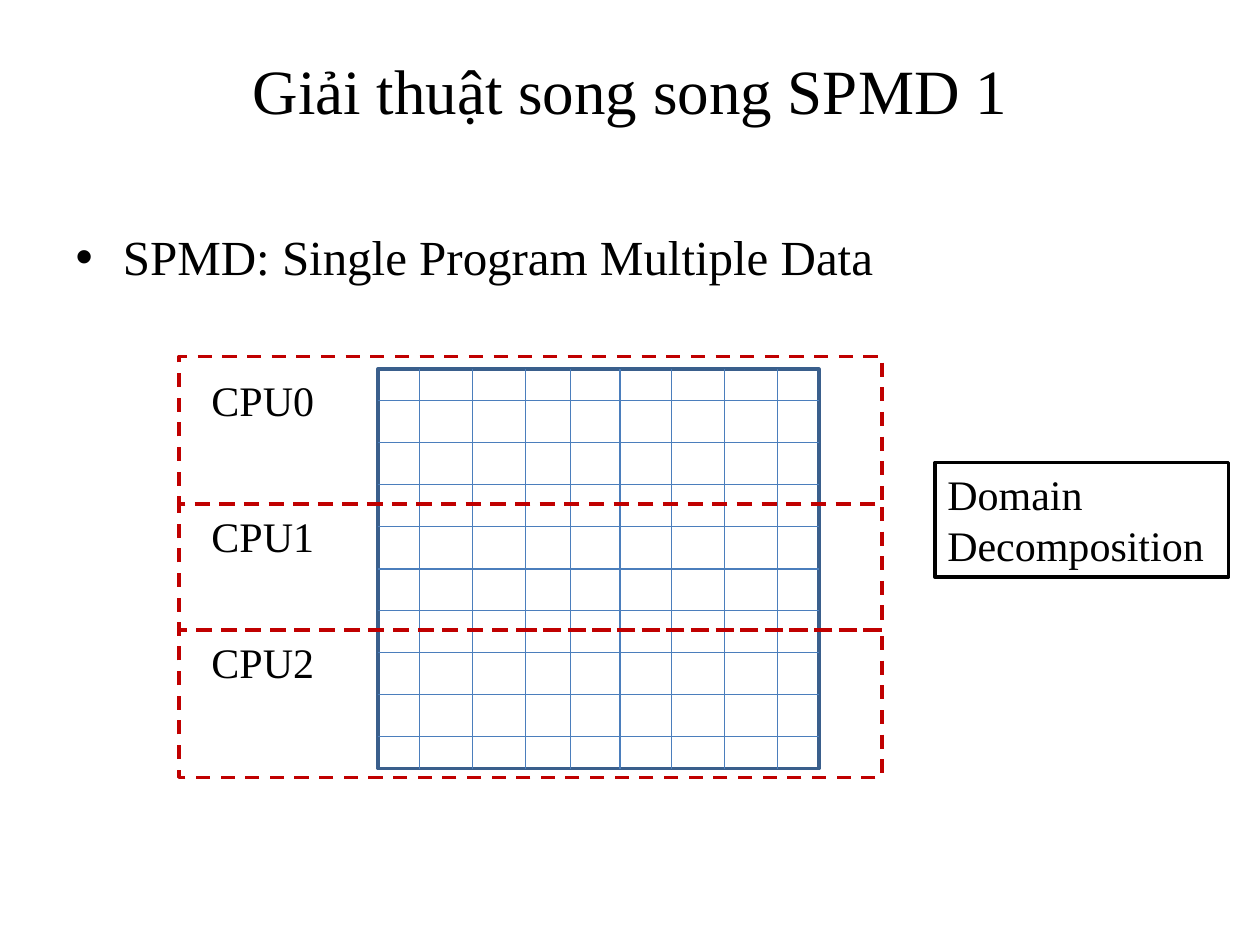
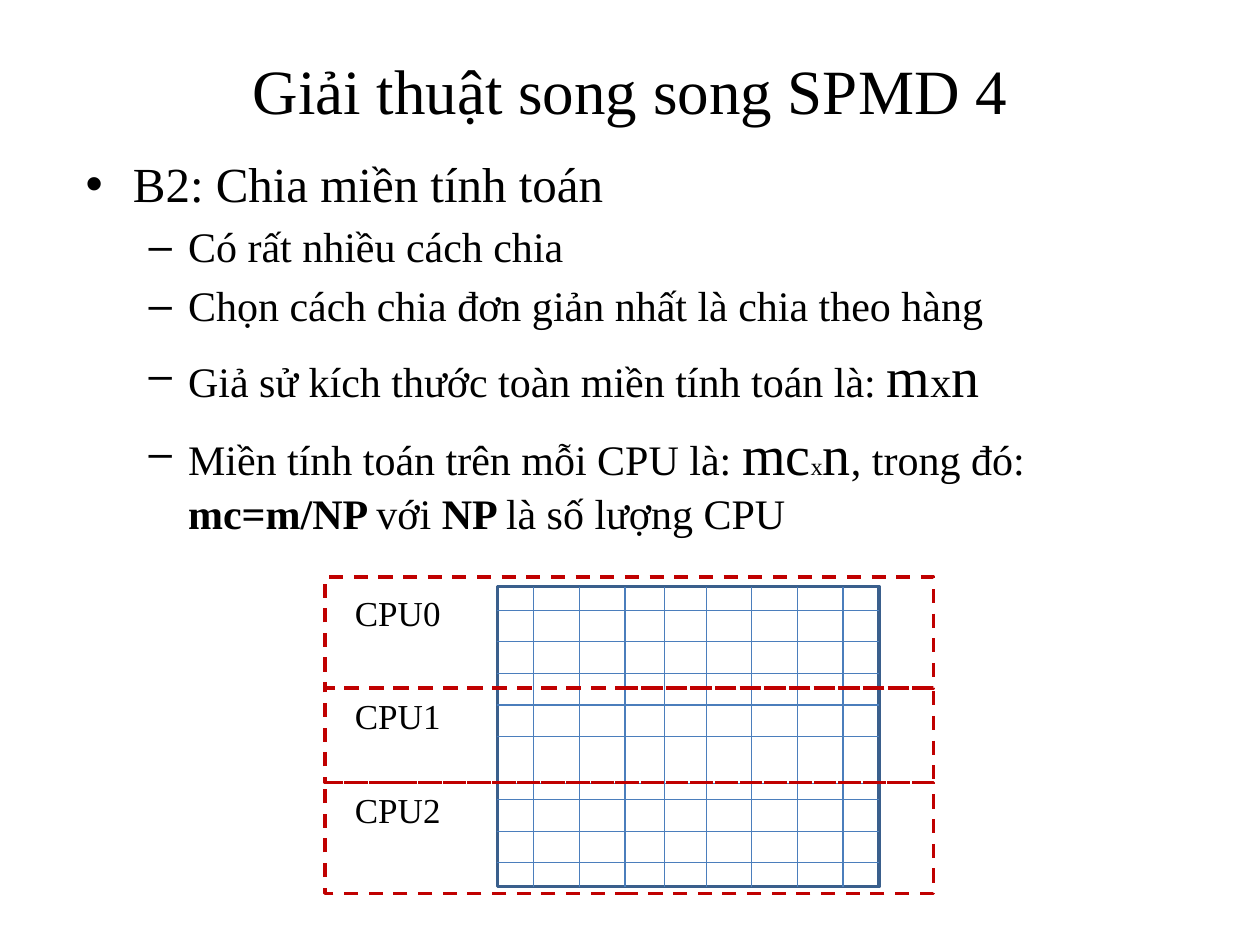
from lxml import etree
from pptx import Presentation
from pptx import util as u
from pptx.dml.color import RGBColor
from pptx.enum import dml, shapes, text
from pptx.oxml import ns

FONT = "Times New Roman"
BLACK = RGBColor(0x00, 0x00, 0x00)
GRID_BORDER = RGBColor(0x3A, 0x5F, 0x8C)
GRID_LINE = RGBColor(0x4B, 0x7E, 0xBC)
BAND_RED = RGBColor(0xC0, 0x00, 0x00)

TITLE_BOX = (0.5, 0.17, 9, 1.08)

# Domain diagram, in the units of its design size
DESIGN_WIDTH, DESIGN_HEIGHT = 5.58, 3.34
GRID_BOX = (1.58, 0.1, 3.5, 3.17)
ROW_COUNT, FIRST_ROW, ROW_GAP = 9, 0.35, 1 / 3
MIDDLE_ROW = ROW_COUNT // 2
COLUMNS = (1.91, 2.33, 2.75, 3.11, 3.5, 3.91, 4.33, 4.75)
BANDS = (("CPU0", 0, 1.17, 0.09), ("CPU1", 1.17, 1, 1.17), ("CPU2", 2.17, 1.17, 2.17))
LABEL_LEFT, LABEL_WIDTH, LABEL_HEIGHT = 0.16, 1.17, 0.5


def inches(values):
    return [u.Inches(value) for value in values]


def place(shape, box):
    for name, value in zip(("left", "top", "width", "height"), inches(box)):
        setattr(shape, name, value)


def set_font(font, size, bold=False):
    for name, value in {"name": FONT, "size": u.Pt(size), "bold": bold}.items():
        setattr(font, name, value)
    font.color.rgb = BLACK


def set_line(line, color, width, dash=None):
    line.color.rgb = color
    for name, value in {"width": u.Pt(width), "dash_style": dash}.items():
        setattr(line, name, value)


def add_frame(parts, box, color, dash=None):
    """Add an unfilled rectangle."""
    frame = parts.add_shape(shapes.MSO_SHAPE.RECTANGLE, *inches(box))
    frame.shadow.inherit = False
    frame.fill.background()
    set_line(frame.line, color, 2, dash)
    return frame


def add_grid_line(parts, start, end):
    line = parts.add_connector(shapes.MSO_CONNECTOR.STRAIGHT, *inches(start + end))
    set_line(line.line, GRID_LINE, 0.75)
    etree.SubElement(line._element.spPr, ns.qn("a:effectLst"))
    return line


def fill_lines(frame, lines, size):
    frame.word_wrap = True
    frame.vertical_anchor = text.MSO_ANCHOR.TOP
    frame.text = "\n".join(lines)
    for para in frame.paragraphs:
        para.alignment = text.PP_ALIGN.LEFT
        set_font(para.font, size)


def add_domain_diagram(page, box, label_size, row_shifts=None):
    """Draw the grid split into one dashed band per CPU, scaled to the box."""
    left, top, width, height = box
    scale_x, scale_y = width / DESIGN_WIDTH, height / DESIGN_HEIGHT
    shifts = row_shifts or {}

    def scaled(x, y, w, h):
        return (left + x * scale_x, top + y * scale_y, w * scale_x, h * scale_y)

    parts = page.shapes.add_group_shape().shapes
    grid_box = scaled(*GRID_BOX)
    grid_left, grid_top, grid_width, grid_height = grid_box
    grid = add_frame(parts, grid_box, GRID_BORDER)

    for row in range(ROW_COUNT):
        y = top + (FIRST_ROW + row * ROW_GAP + shifts.get(row, 0)) * scale_y
        line = add_grid_line(parts, (grid_left, y), (grid_left + grid_width, y))
        if row == MIDDLE_ROW:
            line.begin_connect(grid, 1)
            line.end_connect(grid, 3)
    for column in COLUMNS:
        x = left + column * scale_x
        add_grid_line(parts, (x, grid_top), (x, grid_top + grid_height))

    for _, band_top, band_height, _ in BANDS:
        add_frame(parts, scaled(0, band_top, DESIGN_WIDTH, band_height),
                  BAND_RED, dml.MSO_LINE.DASH)
    for name, _, _, label_top in BANDS:
        label_box = scaled(LABEL_LEFT, label_top, LABEL_WIDTH, LABEL_HEIGHT)
        label = parts.add_textbox(*inches(label_box))
        fill_lines(label.text_frame, [name], label_size)


def add_callout(page, box, lines):
    fill_lines(add_frame(page.shapes, box, BLACK).text_frame, lines, 24)


def fill_body(body, box, items):
    """Write (level, spans) items, each span being (words, size, bold)."""
    place(body, box)
    frame = body.text_frame
    frame.auto_size = text.MSO_AUTO_SIZE.NONE
    for index, (level, spans) in enumerate(items):
        para = frame.add_paragraph() if index else frame.paragraphs[0]
        para.level = level
        for words, size, bold in spans:
            span = para.add_run()
            span.text = words
            set_font(span.font, size, bold)


def add_page(deck, title, body_box, items):
    page = deck.slides.add_slide(deck.slide_layouts[1])
    heading = page.shapes.title
    place(heading, TITLE_BOX)
    heading.text_frame.text = title
    set_font(heading.text_frame.paragraphs[0].font, 36)
    fill_body(page.placeholders[1], body_box, items)
    return page


def build_definition_page(deck):
    page = add_page(deck, "Giải thuật song song SPMD 1", (0.5, 1.75, 9, 4.95), [
        (0, [("SPMD: Single Program Multiple Data", 28, False)]),
    ])
    add_domain_diagram(page, (1.42, 2.83, 5.58, 3.34), 24)
    add_callout(page, (7.42, 3.67, 2.33, 0.91), ["Domain", "Decomposition"])


def build_division_page(deck):
    page = add_page(deck, "Giải thuật song song SPMD 4", (0.58, 1.17, 9.08, 6), [
        (0, [("B2: Chia miền tính toán", 28, False)]),
        (1, [("Có rất nhiều cách chia", 24, False)]),
        (1, [("Chọn cách chia đơn giản nhất là chia theo hàng", 24, False)]),
        (1, [("Giả sử kích thước toàn miền tính toán là: ", 24, False),
             ("m", 32, False), ("x", 24, False), ("n", 32, False)]),
        (1, [("Miền tính toán trên mỗi CPU là: ", 24, False),
             ("mc", 32, False), ("x", 14, False), ("n", 32, False),
             (", trong đó: ", 24, False), ("mc=m/NP ", 24, True),
             ("với ", 24, False), ("NP ", 24, True),
             ("là số lượng CPU", 24, False)]),
    ])
    add_domain_diagram(page, (2.58, 4.58, 4.83, 2.51), 20, row_shifts={5: 0.16})


def main():
    deck = Presentation()
    deck.slide_width, deck.slide_height = inches((10, 7.5))
    build_definition_page(deck)
    build_division_page(deck)
    deck.save("out.pptx")


if __name__ == "__main__":
    main()
